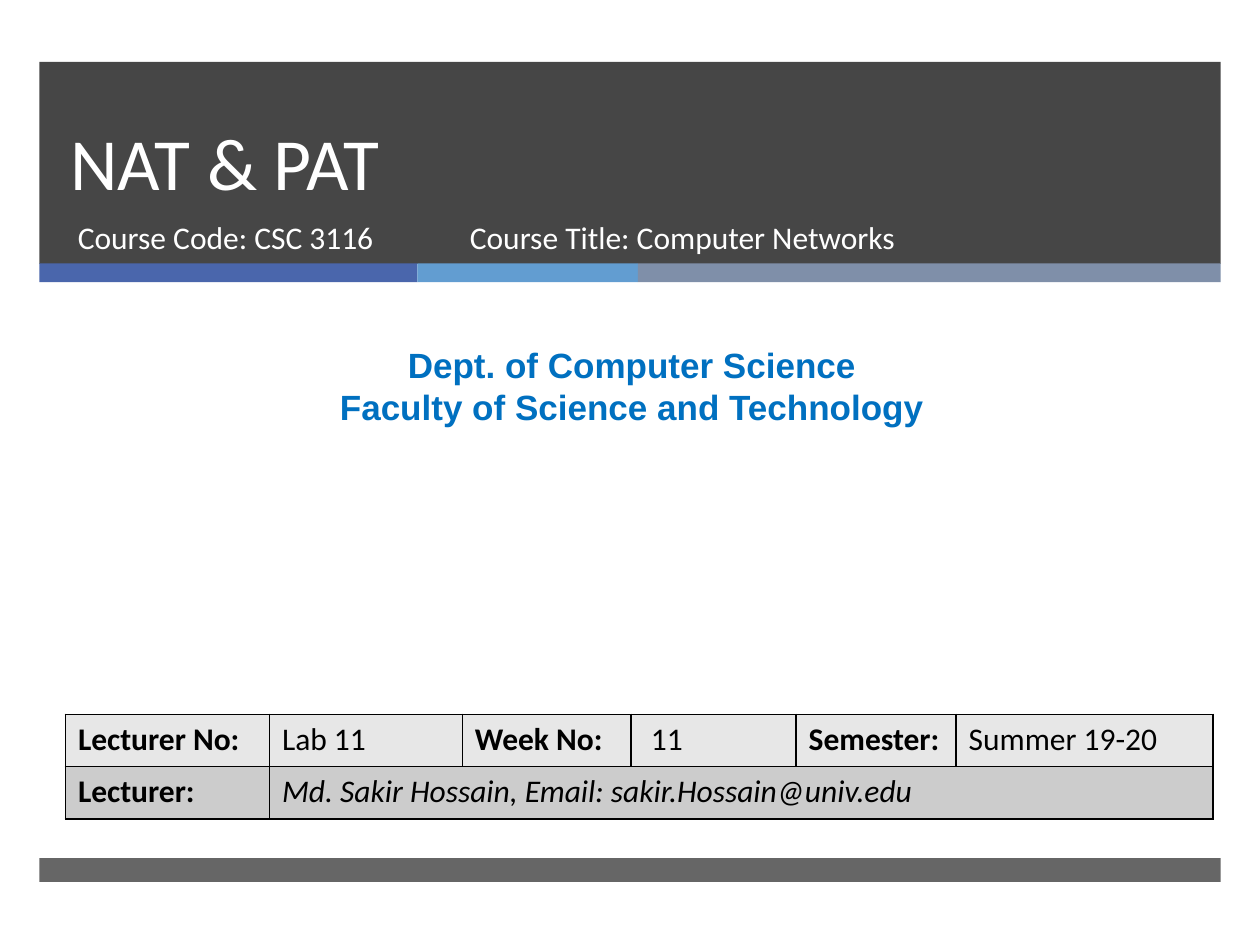
import lxml.etree
import pptx
import pptx.dml.color
import pptx.enum.shapes
import pptx.enum.text
import pptx.oxml.ns
import pptx.util

Pt = pptx.util.Pt
ALIGN = pptx.enum.text.PP_ALIGN
ANCHOR = pptx.enum.text.MSO_ANCHOR
WHITE, BLACK, DARK, BLUE = "FFFFFF", "000000", "262626", "0070C0"


def color(value):
    return pptx.dml.color.RGBColor.from_string(value)


def child(parent, tag, **attributes):
    """Append a DrawingML element to parent."""
    name = pptx.oxml.ns.qn("a:" + tag)
    return lxml.etree.SubElement(parent, name, attributes)


def write(frame, text, size=18, font="Calibri", ink=WHITE, bold=False,
          italic=False, align=ALIGN.LEFT, anchor=ANCHOR.TOP, spacing=None):
    """Fill a text frame, one paragraph per line of text."""
    frame.word_wrap = True
    frame.vertical_anchor = anchor
    for index, line in enumerate(text.split("\n")):
        para = frame.paragraphs[0] if index == 0 else frame.add_paragraph()
        para.alignment = align
        if spacing:
            para.line_spacing = Pt(spacing)
        span = para.add_run()
        span.text = line
        span.font.name, span.font.size = font, Pt(size)
        span.font.bold, span.font.italic = bold, italic
        span.font.color.rgb = color(ink)


class Page:
    """Current slide and its shared line style."""

    border_width = 1
    border_ink = BLACK

    def __init__(self, deck):
        self.slide = deck.slides.add_slide(deck.slide_layouts[5])
        self.shapes = self.slide.shapes

    def bar(self, left, top, width, height, fill, opacity=100):
        box = self.shapes.add_shape(
            pptx.enum.shapes.MSO_SHAPE.RECTANGLE,
            Pt(left), Pt(top), Pt(width), Pt(height))
        box.shadow.inherit = False
        box.fill.solid()
        box.fill.fore_color.rgb = color(fill)
        box.line.fill.background()
        if opacity < 100:
            shade = box.fill._xPr.find(".//" + pptx.oxml.ns.qn("a:srgbClr"))
            child(shade, "alpha", val=str(opacity * 1000))

    def title(self, left, top, width, height, text, **style):
        box = self.shapes.title
        box.left, box.top = Pt(left), Pt(top)
        box.width, box.height = Pt(width), Pt(height)
        box.text_frame.auto_size = pptx.enum.text.MSO_AUTO_SIZE.NONE
        write(box.text_frame, text, **style)
        self.shapes._spTree.append(box._element)  # bring in front of the bars

    def text(self, left, top, width, height, text, **style):
        box = self.shapes.add_textbox(Pt(left), Pt(top), Pt(width), Pt(height))
        write(box.text_frame, text, **style)

    def cell(self, cell, fill):
        """Border and fill one table cell."""
        properties = cell._tc.get_or_add_tcPr()
        for side in ("lnL", "lnR", "lnT", "lnB"):
            line = child(properties, side, w=str(Pt(self.border_width)))
            child(child(line, "solidFill"), "srgbClr", val=self.border_ink)
        cell.fill.solid()
        cell.fill.fore_color.rgb = color(fill)
        cell.vertical_anchor = ANCHOR.TOP

    def table(self, left, top, widths, row_height, rows, fills):
        """Labels alternate with values; a short row's last value spans the rest."""
        table = self.shapes.add_table(
            len(rows), len(widths), Pt(left), Pt(top),
            Pt(sum(widths)), Pt(row_height * len(rows))).table
        for column, width in zip(table.columns, widths):
            column.width = Pt(width)
        last = len(widths) - 1
        for r, (values, fill) in enumerate(zip(rows, fills)):
            table.rows[r].height = Pt(row_height)
            for c in range(len(widths)):
                self.cell(table.cell(r, c), fill)
            for c, (text, style) in enumerate(values):
                write(table.cell(r, c).text_frame, text, ink=BLACK,
                      bold=c % 2 == 0, **style)
            end = len(values) - 1
            if end < last:
                table.cell(r, end).merge(table.cell(r, last))


def main():
    deck = pptx.Presentation()
    deck.slide_width, deck.slide_height = Pt(720), Pt(540)
    page = Page(deck)

    left, width = 22.5, 675
    page.bar(left, 35.3, width, 115.5, DARK, opacity=85)
    stripe_left = left
    for stripe, fill in ((216, "4A66AC"), (126, "629DD1"), (333, "7F8FA9")):
        page.bar(stripe_left, 150.5, stripe, 10.8, fill)
        stripe_left += stripe
    page.bar(left, 490.3, width, 13.7, DARK, opacity=70)

    page.title(33.1, 35.3, 615, 85.7, "NAT & PAT", size=42,
               anchor=ANCHOR.BOTTOM, spacing=46)
    page.text(37.4, 121, 219.6, 38, "Course Code: CSC 3116")
    page.text(5.8, 193, 710.6, 55.4,
              "Dept. of Computer Science\nFaculty of Science and Technology",
              size=20, font="Arial", ink=BLUE, bold=True, align=ALIGN.CENTER)
    page.table(
        37.4, 408.2, (116.6, 110.2, 96.5, 94.3, 91.4, 146.9), 29.9,
        ((("Lecturer No:", {}), ("Lab 11", {}), ("Week No:", {}),
          (" 11", {}), ("Semester:", {}), ("Summer 19-20", {})),
         (("Lecturer:", {}),
          ("Md. Sakir Hossain, Email: sakir.Hossain@univ.edu",
           {"italic": True}))),
        ("E7E7E7", "CCCCCC"))
    page.text(261.4, 121, 327.6, 38, "Course Title: Computer Networks")

    deck.save("out.pptx")


if __name__ == "__main__":
    main()
